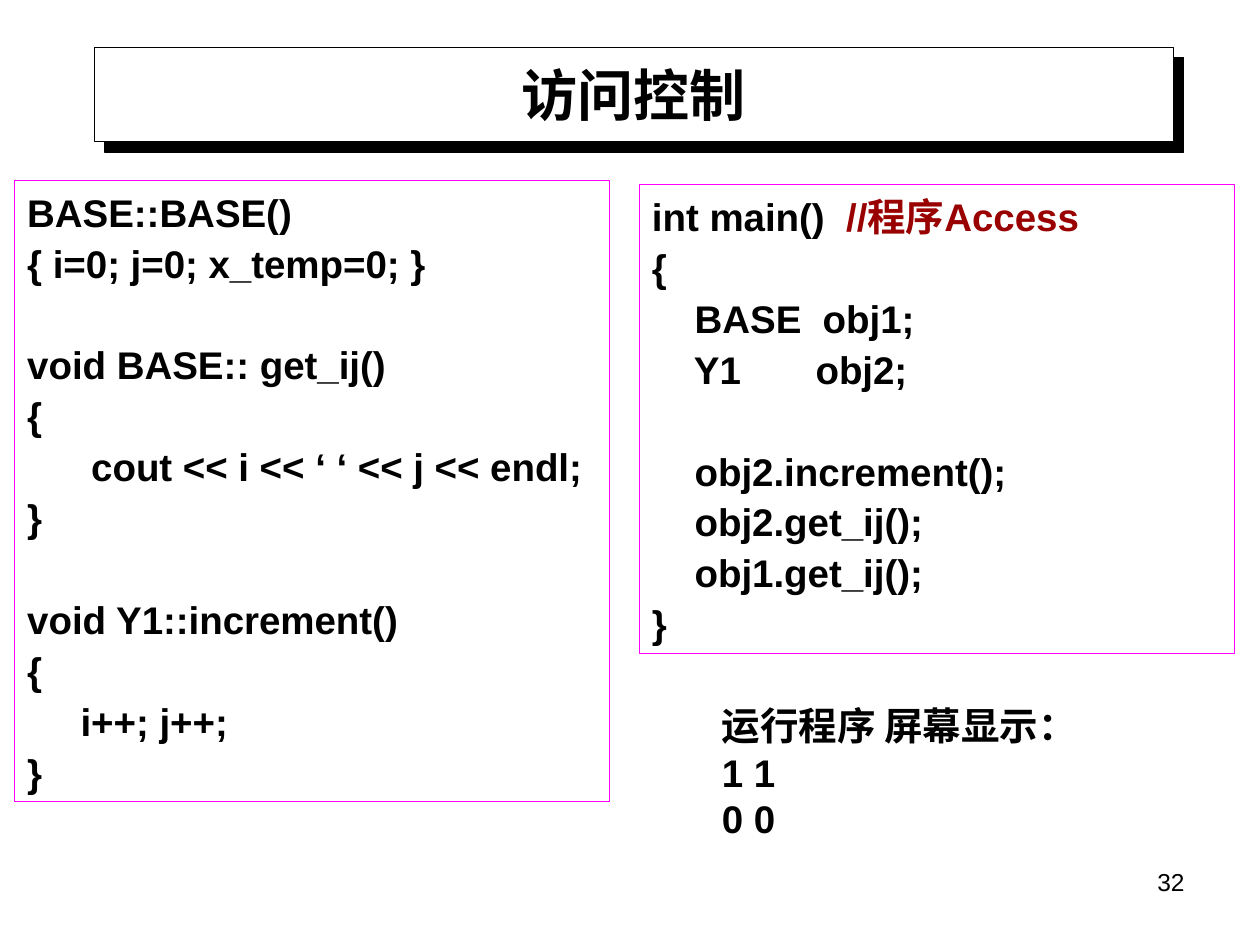
import pptx
import pptx.util
import pptx.dml.color
import pptx.enum.shapes
import pptx.enum.text
import pptx.oxml

Pt = pptx.util.Pt
ANCHOR = pptx.enum.text.MSO_ANCHOR
ALIGN = pptx.enum.text.PP_ALIGN
AUTO_SIZE = pptx.enum.text.MSO_AUTO_SIZE
RECTANGLE = pptx.enum.shapes.MSO_SHAPE.RECTANGLE

COLOURS = {"black": "000000", "white": "FFFFFF", "frame": "FF00FF", "comment": "990000"}

TITLE = "访问控制"
TITLE_AREA = (54, 27, 616.5, 54)
PAGE_NUMBER = "32"
PAGE_NUMBER_AREA = (516, 492, 168, 37)
OUTPUT = ["运行程序 屏幕显示：", "1 1", "0 0"]
OUTPUT_AREA = (405.5, 389, 238, 104)

# Each panel: area, then blocks of code lines; blocks stand one line apart.
CODE_PANELS = [
    ((8.5, 103, 340, 355), [
        ["BASE::BASE()", "{ i=0; j=0; x_temp=0; }"],
        ["void BASE:: get_ij()", "{", "      cout << i << ‘ ‘ << j << endl;", "}"],
        ["void Y1::increment()", "{", "     i++; j++;", "}"],
    ]),
    ((365.5, 105.5, 340, 268), [
        ["int main()  //程序Access", "{", "    BASE  obj1;", "    Y1       obj2;"],
        ["    obj2.increment();", "    obj2.get_ij();", "    obj1.get_ij();", "}"],
    ]),
]
CODE_SIZE = 22
LINE_GAP = 1.4
BLOCK_GAP = 30.5

SHADOW = (
    '<a:effectLst xmlns:a="http://schemas.openxmlformats.org/drawingml/2006/main">'
    '<a:outerShdw dist="107950" dir="2700000" algn="ctr" rotWithShape="0">'
    f'<a:srgbClr val="{COLOURS["black"]}"/></a:outerShdw></a:effectLst>'
)


def colour(name):
    return pptx.dml.color.RGBColor.from_string(COLOURS[name])


def lengths(area):
    return [Pt(value) for value in area]


def style(span, size, bold=True, font="Arial", tint="black"):
    span.font.name = font
    span.font.size = Pt(size)
    span.font.bold = bold
    span.font.color.rgb = colour(tint)


def add_rectangle(page, area, line):
    box = page.shapes.add_shape(RECTANGLE, *lengths(area))
    box.shadow.inherit = False
    box.line.color.rgb = colour(line)
    box.line.width = Pt(0.75)
    return box


def add_title(page):
    panel = add_rectangle(page, TITLE_AREA, "black")
    panel.fill.solid()
    panel.fill.fore_color.rgb = colour("white")
    properties = panel._element.spPr
    properties.remove(properties.find(pptx.oxml.ns.qn("a:effectLst")))
    properties.append(pptx.oxml.parse_xml(SHADOW))

    title = page.shapes.title
    title._element.addprevious(panel._element)
    title.left, title.top, title.width, title.height = lengths(TITLE_AREA)
    frame = title.text_frame
    frame.text = TITLE
    frame.auto_size = AUTO_SIZE.NONE
    frame.vertical_anchor = ANCHOR.MIDDLE
    para = frame.paragraphs[0]
    para.alignment = ALIGN.CENTER
    style(para.runs[0], 32, font="Times New Roman")


def add_code(page, area, blocks):
    box = add_rectangle(page, area, "frame")
    box.fill.background()
    frame = box.text_frame
    frame.word_wrap = True
    frame.auto_size = AUTO_SIZE.SHAPE_TO_FIT_TEXT
    frame.vertical_anchor = ANCHOR.TOP
    frame.text = "\n".join(line for block in blocks for line in block)
    gaps = [BLOCK_GAP if row == 0 else LINE_GAP
            for block in blocks for row in range(len(block))]
    gaps[0] = 0
    for para, gap in zip(frame.paragraphs, gaps):
        para.alignment = ALIGN.LEFT
        para.line_spacing = 1.05
        para.space_before = Pt(gap)
        code, slashes, comment = para.text.partition("//")
        para.runs[0].text = code
        style(para.runs[0], CODE_SIZE)
        if slashes:
            span = para.add_run()
            span.text = slashes + comment
            style(span, CODE_SIZE, tint="comment")


def add_text(page, area, lines, size, bold, align, anchor, wrap):
    frame = page.shapes.add_textbox(*lengths(area)).text_frame
    frame.word_wrap = wrap
    frame.vertical_anchor = anchor
    frame.text = "\n".join(lines)
    for para in frame.paragraphs:
        para.alignment = align
        style(para.runs[0], size, bold)


def main():
    deck = pptx.Presentation()
    deck.slide_width, deck.slide_height = Pt(720), Pt(540)
    page = deck.slides.add_slide(deck.slide_layouts.get_by_name("Title Only"))
    add_title(page)
    for area, blocks in CODE_PANELS:
        add_code(page, area, blocks)
    add_text(page, OUTPUT_AREA, OUTPUT, CODE_SIZE, True, ALIGN.LEFT, ANCHOR.MIDDLE, False)
    add_text(page, PAGE_NUMBER_AREA, [PAGE_NUMBER], 14, False, ALIGN.RIGHT, ANCHOR.TOP, True)
    deck.save("out.pptx")


if __name__ == "__main__":
    main()
